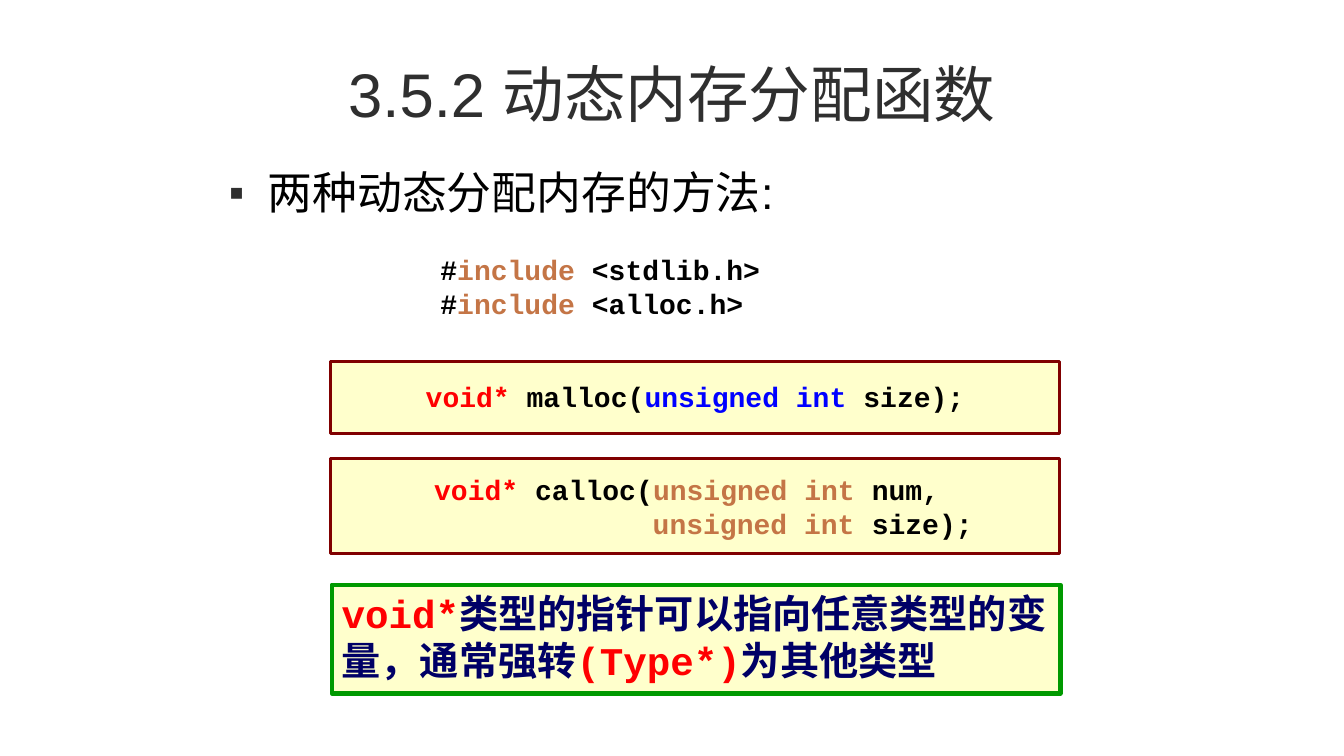
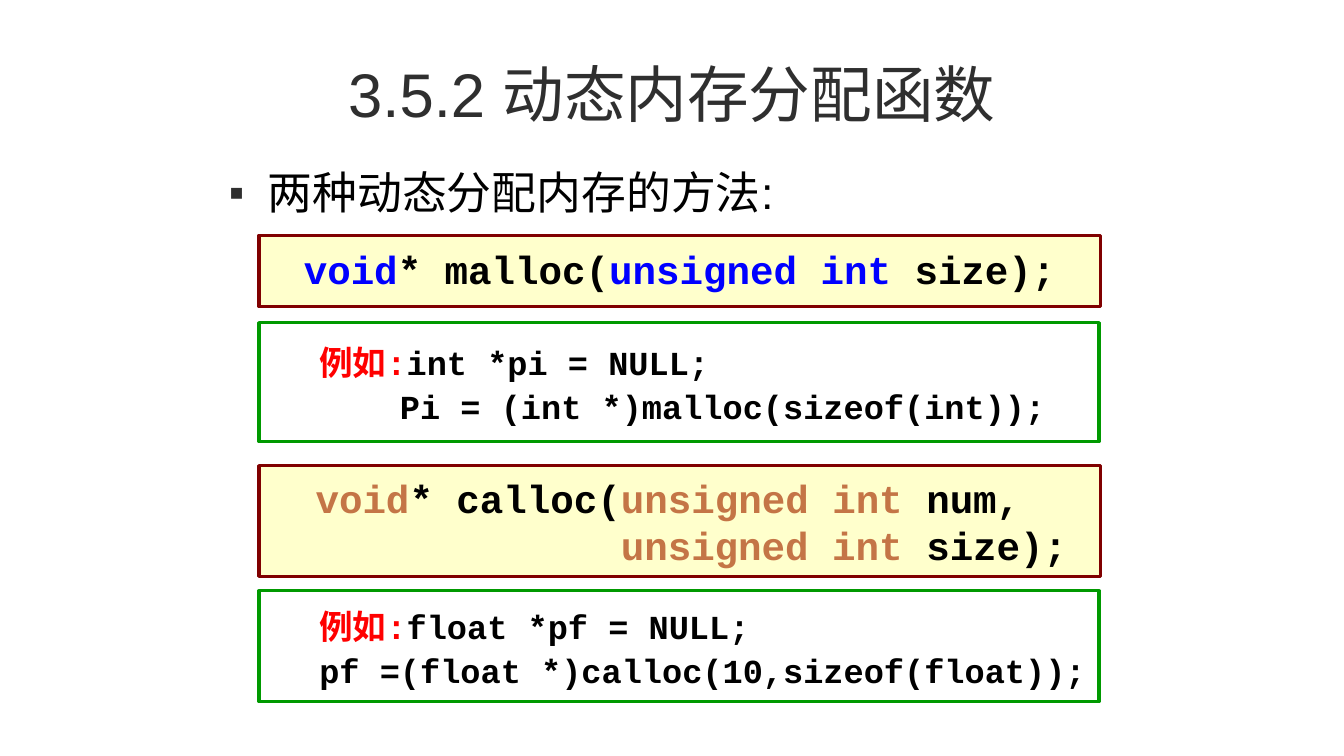
from lxml import etree
from pptx import Presentation
from pptx.dml.color import RGBColor
from pptx.enum.shapes import MSO_SHAPE
from pptx.enum.text import MSO_ANCHOR, MSO_AUTO_SIZE, PP_ALIGN
from pptx.oxml.ns import qn
from pptx.util import Pt

RECTANGLE = MSO_SHAPE.RECTANGLE
TOP, MIDDLE = MSO_ANCHOR.TOP, MSO_ANCHOR.MIDDLE
LEFT, CENTER = PP_ALIGN.LEFT, PP_ALIGN.CENTER
NO_FIT = MSO_AUTO_SIZE.NONE

# Palette
INK, BLACK, NAVY = "2F2F2F", "000000", "000066"
RED, BLUE, COPPER = "FF0000", "0000FF", "C47546"
CREAM, MAROON, GREEN = "FFFFCC", "800000", "009900"

TITLE = "3.5.2 动态内存分配函数"
TOPIC = "两种动态分配内存的方法:"


def rgb(hex_color):
    return RGBColor.from_string(hex_color)


class Deck:
    """Shared style and the slide being built."""

    text_font = "Arial"
    code_font = "Courier New"

    def __init__(self):
        self.prs = Presentation()
        self.prs.slide_width, self.prs.slide_height = Pt(960), Pt(540)
        self.slide = None

    def new_slide(self, title, topic):
        self.slide = self.prs.slides.add_slide(self.prs.slide_layouts[1])
        heading, body = self.slide.placeholders
        self.fill_placeholder(heading, (48, 21.6, 864, 90), title, 44, INK, MIDDLE, CENTER)
        item = self.fill_placeholder(body, (157, 116.6, 646.6, 57), topic, 32, BLACK, TOP, LEFT,
                                     bullet="■")
        item.line_spacing = 0.95

    def fill_placeholder(self, holder, box, text, size, color, anchor, align, bullet=None):
        self.place(holder, box)
        frame = holder.text_frame
        frame.text = text
        frame.auto_size = NO_FIT
        frame.vertical_anchor = anchor
        paragraph = frame.paragraphs[0]
        paragraph.alignment = align
        paragraph.space_before = Pt(0)
        if bullet:
            self.add_bullet(paragraph, bullet)
        self.set_font(paragraph.font, self.text_font, size, color)
        return paragraph

    @staticmethod
    def place(shape, box):
        shape.left, shape.top, shape.width, shape.height = map(Pt, box)

    @staticmethod
    def set_font(font, name, size, color=None, bold=False):
        font.name, font.size, font.bold = name, Pt(size), bold
        if color:
            font.color.rgb = rgb(color)

    @staticmethod
    def add_bullet(paragraph, char):
        props = paragraph._p.get_or_add_pPr()
        props.set("marL", str(Pt(27)))
        props.set("indent", str(Pt(-27)))
        bullet_color = etree.SubElement(props, qn("a:buClr"))
        etree.SubElement(bullet_color, qn("a:srgbClr"), val=INK)
        etree.SubElement(props, qn("a:buSzPct"), val="50000")
        etree.SubElement(props, qn("a:buChar"), char=char)

    def write_code(self, frame, lines, size, align=LEFT, spacing=1.0, indent=0):
        """Each line is a list of (text, colour) pieces."""
        for number, pieces in enumerate(lines):
            paragraph = frame.add_paragraph() if number else frame.paragraphs[0]
            paragraph.alignment = align
            paragraph.line_spacing = spacing
            if indent:
                paragraph._p.get_or_add_pPr().set("marL", str(Pt(indent)))
            self.set_font(paragraph.font, self.code_font, size, bold=True)
            for text, color in pieces:
                run = paragraph.add_run()
                run.text = text
                run.font.color.rgb = rgb(color)

    def code_text(self, box, lines, size):
        frame = self.slide.shapes.add_textbox(*map(Pt, box)).text_frame
        frame.word_wrap = True
        self.write_code(frame, lines, size)

    def panel(self, box, fill, border, border_width, anchor=MIDDLE, wrap=True):
        shape = self.slide.shapes.add_shape(RECTANGLE, *map(Pt, box))
        shape.shadow.inherit = False
        if fill:
            shape.fill.solid()
            shape.fill.fore_color.rgb = rgb(fill)
        else:
            shape.fill.background()
        shape.line.color.rgb = rgb(border)
        shape.line.width = Pt(border_width)
        frame = shape.text_frame
        frame.word_wrap = wrap
        frame.vertical_anchor = anchor
        return frame

    def prototype(self, box, lines, size):
        frame = self.panel(box, CREAM, MAROON, 2.25, wrap=False)
        spacing = 0.95 if len(lines) == 1 else 1.0
        self.write_code(frame, lines, size, CENTER, spacing)

    def example(self, box, first, second):
        frame = self.panel(box, None, GREEN, 2.25)
        lines = [[("例如:", RED), (first, BLACK)], [(second, BLACK)]]
        self.write_code(frame, lines, 24, spacing=1.1, indent=36)

    def note(self, box, pieces):
        frame = self.panel(box, CREAM, GREEN, 3, anchor=TOP)
        self.write_code(frame, [pieces], 28)


def malloc_lines(returns):
    return [returns + [(" malloc(" if len(returns) == 1 else "malloc(", BLACK),
                       ("unsigned int", BLUE), (" size);", BLACK)]]


def calloc_lines(returns):
    return [returns + [(" calloc(" if len(returns) == 1 else "calloc(", BLACK),
                       ("unsigned int", COPPER), (" num, ", BLACK)],
            [("              unsigned int", COPPER), (" size);", BLACK)]]


def main():
    deck = Deck()

    # Slide 1: headers, prototypes and the void* rule
    deck.new_slide(TITLE, TOPIC)
    void_pointer = [("void*", RED)]
    deck.prototype((236, 258.5, 521, 51), malloc_lines(void_pointer), 20)
    deck.prototype((236, 327.6, 521, 67.7), calloc_lines(void_pointer), 20)
    headers = [[("#", BLACK), ("include", COPPER), (f" <{name}.h>", BLACK)]
               for name in ("stdlib", "alloc")]
    deck.code_text((307.5, 177, 360, 55.5), headers, 20)
    deck.note((237, 417.6, 520.5, 77.8), [
        ("void*", RED), ("类型的指针可以指向任意类型的变量，通常强转", NAVY),
        ("(Type*)", RED), ("为其他类型", NAVY)])

    # Slide 2: each prototype with an example
    deck.new_slide(TITLE, TOPIC)
    deck.prototype((185, 168, 601, 51), malloc_lines([("void", BLUE), ("* ", BLACK)]), 28)
    deck.prototype((185, 332.6, 601, 79.2), calloc_lines([("void", COPPER), ("* ", BLACK)]), 28)
    deck.example((185, 230.4, 600, 85),
                 "int *pi = NULL;", "    Pi = (int *)malloc(sizeof(int));")
    deck.example((185, 422, 600, 79.2),
                 "float *pf = NULL;", "pf =(float *)calloc(10,sizeof(float));")

    deck.prs.save("out.pptx")


if __name__ == "__main__":
    main()
